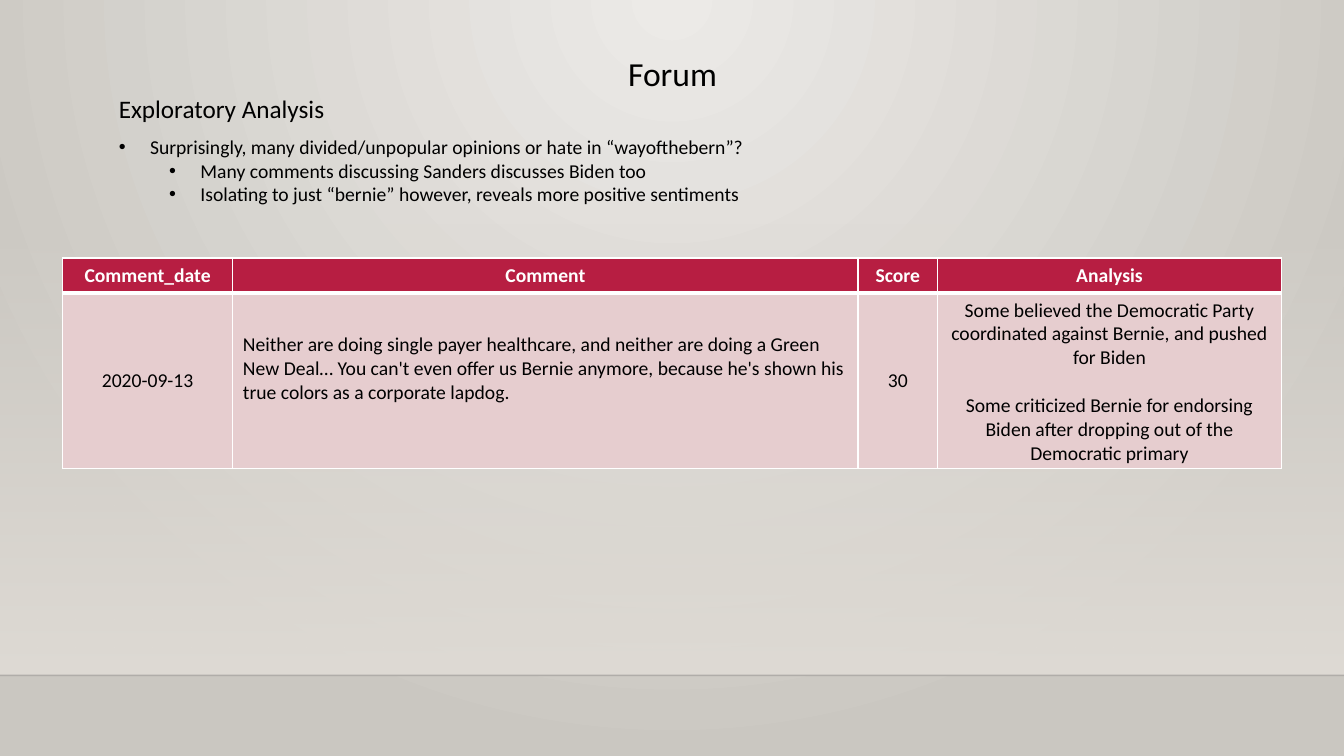
import pptx
import pptx.util
import pptx.dml.color
import pptx.enum.shapes
import pptx.enum.text
import pptx.oxml
import pptx.oxml.ns
from lxml import etree

Inches, Pt = pptx.util.Inches, pptx.util.Pt
RGBColor = pptx.dml.color.RGBColor
CENTER, LEFT = pptx.enum.text.PP_ALIGN.CENTER, pptx.enum.text.PP_ALIGN.LEFT
qn = pptx.oxml.ns.qn

BLACK = RGBColor(0x00, 0x00, 0x00)
EDGE = RGBColor(0x00, 0x00, 0x01)
WHITE = RGBColor(0xFF, 0xFF, 0xFF)
RED = RGBColor(0xB7, 0x1E, 0x42)
PINK = RGBColor(0xE6, 0xCD, 0xCF)
PALE = RGBColor(0xEC, 0xEA, 0xE7)
GRAY = RGBColor(0xCA, 0xC7, 0xC1)
SAND = RGBColor(0xDF, 0xDB, 0xD5)

WIDE, HIGH = 13.33, 7.5
FLOOR = 6.7

# text, box, size, alignment
HEADS = [
    ("Forum", (1.08, 0.48, 11.18, 0.5), 24, CENTER),
    ("Exploratory Analysis", (1.08, 0.88, 6.67, 0.4), 18, LEFT),
]
POINTS = [
    (0, "Surprisingly, many divided/unpopular opinions or hate in “wayofthebern”?"),
    (1, "Many comments discussing Sanders discusses Biden too"),
    (1, "Isolating to just “bernie” however, reveals more positive sentiments"),
]
# heading, width, alignment of the body, body paragraphs
COLS = [
    ("Comment_date", 1.69, CENTER, ["2020-09-13"]),
    ("Comment", 6.2, LEFT, [
        "Neither are doing single payer healthcare, and neither are doing a Green "
        "New Deal… You can't even offer us Bernie anymore, because he's shown his "
        "true colors as a corporate lapdog."]),
    ("Score", 0.79, CENTER, ["30"]),
    ("Analysis", 3.41, CENTER, [
        "Some believed the Democratic Party coordinated against Bernie, and pushed for Biden",
        "Some criticized Bernie for endorsing Biden after dropping out of the Democratic primary"]),
]
ROWS = [0.35, 1.73]


def style(para, size, color=BLACK, bold=False, align=LEFT):
    para.alignment = align
    font = para.font
    font.name, font.size, font.bold = "Calibri", Pt(size), bold
    font.color.rgb = color


def add_box(slide, box):
    frame = slide.shapes.add_textbox(*map(Inches, box)).text_frame
    frame.word_wrap = True
    return frame


def fade(node, percent):
    """Set the opacity of the first colour under node."""
    color = next(node.iter(qn("a:srgbClr")))
    etree.SubElement(color, qn("a:alpha")).set("val", str(percent * 1000))


def blend(fill, first, last):
    fill.gradient()
    for stop, color in zip(fill.gradient_stops, (first, last)):
        stop.color.rgb = color


def add_bullet(para, level):
    para.level = level
    props = para._p.get_or_add_pPr()
    props.set("marL", str(Inches(0.31 + 0.5 * level)))
    props.set("indent", str(Inches(-0.31)))
    etree.SubElement(props, qn("a:buFont")).set("typeface", "Arial")
    etree.SubElement(props, qn("a:buChar")).set("char", "•")


def add_border(cell, top, bottom):
    props = cell._tc.get_or_add_tcPr()
    sides = [("L", 1), ("R", 1), ("T", top), ("B", bottom)]
    for place, (side, width) in enumerate(sides):
        line = etree.Element(qn("a:ln" + side), w=str(Pt(width)))
        solid = etree.SubElement(line, qn("a:solidFill"))
        etree.SubElement(solid, qn("a:srgbClr")).set("val", str(WHITE))
        props.insert(place, line)


def fill_cell(cell, texts, fill, color, bold, align):
    cell.fill.solid()
    cell.fill.fore_color.rgb = fill
    cell.vertical_anchor = pptx.enum.text.MSO_ANCHOR.MIDDLE
    frame = cell.text_frame
    for i, text in enumerate(texts):
        para = frame.add_paragraph() if i else frame.paragraphs[0]
        para.text = text
        style(para, 14, color, bold, align)
        if i:
            para.space_before = Pt(17)


def add_backdrop(slide):
    blend(slide.background.fill, PALE, GRAY)
    linear = next(slide._element.iter(qn("a:lin")))
    radial = etree.Element(qn("a:path"))
    radial.set("path", "circle")
    etree.SubElement(radial, qn("a:fillToRect"), l="43000", t="0", r="43000", b="100000")
    linear.getparent().replace(linear, radial)

    wall = slide.shapes.add_shape(
        pptx.enum.shapes.MSO_SHAPE.RECTANGLE,
        0, Inches(2.21), Inches(WIDE), Inches(FLOOR - 2.21))
    wall.shadow.inherit = False
    wall.line.fill.background()
    blend(wall.fill, SAND, SAND)
    wall.fill.gradient_angle = 270
    fade(wall._element.spPr, 0)

    edge = slide.shapes.add_connector(
        pptx.enum.shapes.MSO_CONNECTOR.STRAIGHT,
        0, Inches(FLOOR), Inches(WIDE), Inches(FLOOR))
    edge.line.color.rgb = EDGE
    edge.line.width = Pt(1)
    fade(edge._element.spPr, 20)
    etree.SubElement(edge._element.spPr, qn("a:effectLst"))


def add_table(slide):
    width = sum(col[1] for col in COLS)
    table = slide.shapes.add_table(
        len(ROWS), len(COLS), Inches(0.62), Inches(2.56),
        Inches(width), Inches(sum(ROWS))).table
    for row, height in zip(table.rows, ROWS):
        row.height = Inches(height)
    for i, (name, wide, align, texts) in enumerate(COLS):
        table.columns[i].width = Inches(wide)
        head, body = table.cell(0, i), table.cell(1, i)
        fill_cell(head, [name], RED, WHITE, True, CENTER)
        fill_cell(body, texts, PINK, BLACK, False, align)
        add_border(head, 1, 3)
        add_border(body, 3, 1)
    table.cell(1, 1).margin_bottom = Inches(0.29)


def main():
    deck = pptx.Presentation()
    deck.slide_width, deck.slide_height = Inches(WIDE), Inches(HIGH)
    slide = deck.slides.add_slide(deck.slide_layouts[6])
    add_backdrop(slide)
    for text, box, size, align in HEADS:
        para = add_box(slide, box).paragraphs[0]
        para.text = text
        style(para, size, align=align)
    frame = add_box(slide, (1.08, 1.29, 11.46, 0.81))
    for i, (level, text) in enumerate(POINTS):
        para = frame.add_paragraph() if i else frame.paragraphs[0]
        para.text = text
        add_bullet(para, level)
        style(para, 14)
    add_table(slide)
    deck.save("out.pptx")


if __name__ == "__main__":
    main()
